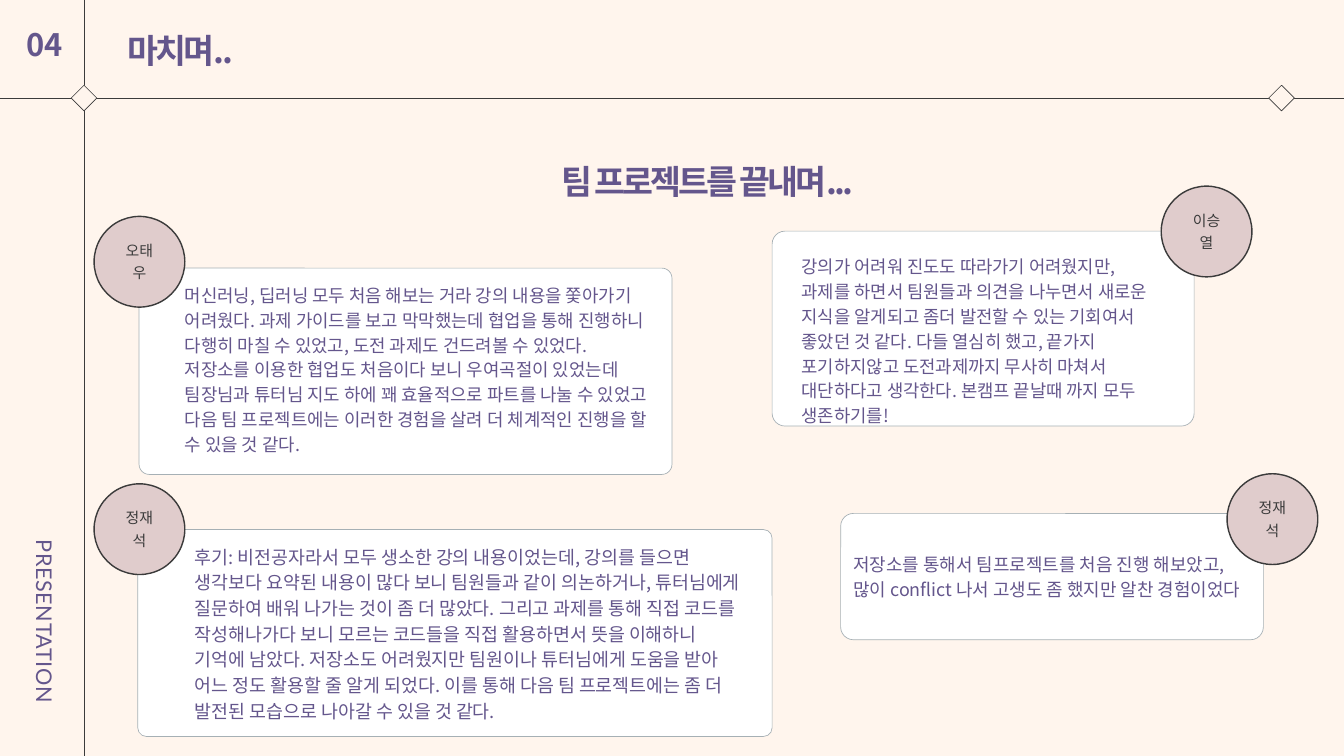
import pptx
import pptx.dml.color
import pptx.enum.shapes
import pptx.enum.text
import pptx.oxml.ns
import pptx.util
from lxml import etree

Inches = pptx.util.Inches
Pt = pptx.util.Pt
RGBColor = pptx.dml.color.RGBColor
Shape = pptx.enum.shapes.MSO_SHAPE
Align = pptx.enum.text.PP_ALIGN
Anchor = pptx.enum.text.MSO_ANCHOR
qn = pptx.oxml.ns.qn

CREAM = RGBColor(0xFF, 0xF5, 0xED)
WHITE = RGBColor(0xFF, 0xFF, 0xFF)
PURPLE = RGBColor(0x64, 0x56, 0x8C)
ROSE = RGBColor(0xE0, 0xCC, 0xCC)
CHARCOAL = RGBColor(0x3B, 0x3B, 0x3B)
GRAY = RGBColor(0xA6, 0xB0, 0xB5)

KOREAN_FONT = "Noto Sans CJK KR"
WIDTH, HEIGHT = 20, 11.25
RULE_X, RULE_Y = 1.25, 1.46
BADGE_SIZE = 1.35
DIAMOND_SIZE = 0.27

# card box, corner radius, text box, font size, line spacing, paragraphs
CARDS = [
    ((2.07, 3.99, 7.93, 3.07), 0.15, (2.75, 4.18, 6.96, 2.57), 19.1, 26.7, [
        "머신러닝, 딥러닝 모두 처음 해보는 거라 강의 내용을 쫓아가기 어려웠다. "
        "과제 가이드를 보고 막막했는데 협업을 통해 진행하니 다행히 마칠 수 있었고, "
        "도전 과제도 건드려볼 수 있었다.",
        "저장소를 이용한 협업도 처음이다 보니 우여곡절이 있었는데 팀장님과 튜터님 "
        "지도 하에 꽤 효율적으로 파트를 나눌 수 있었고 다음 팀 프로젝트에는 이러한 "
        "경험을 살려 더 체계적인 진행을 할 수 있을 것 같다."]),
    ((2.05, 7.88, 9.44, 3.08), 0.13, (2.9, 8.07, 8.18, 2.6), 19.7, 27.5, [
        "후기: 비전공자라서 모두 생소한 강의 내용이었는데, 강의를 들으면 생각보다 "
        "요약된 내용이 많다 보니 팀원들과 같이 의논하거나, 튜터님에게 질문하여 배워 "
        "나가는 것이 좀 더 많았다. 그리고 과제를 통해 직접 코드를 작성해나가다 보니 "
        "모르는 코드들을 직접 활용하면서 뜻을 이해하니 기억에 남았다. 저장소도 "
        "어려웠지만 팀원이나 튜터님에게 도움을 받아 어느 정도 활용할 줄 알게 되었다. "
        "이를 통해 다음 팀 프로젝트에는 좀 더 발전된 모습으로 나아갈 수 있을 것 같다."]),
    ((11.49, 3.44, 6.28, 2.9), 0.19, (11.93, 3.76, 5.22, 2.17), 19, 26.6, [
        "강의가 어려워 진도도 따라가기 어려웠지만,",
        "과제를 하면서 팀원들과 의견을 나누면서 새로운 지식을 알게되고 좀더 발전할 "
        "수 있는 기회여서 좋았던 것 같다. 다들 열심히 했고, 끝가지 포기하지않고 "
        "도전과제까지 무사히 마쳐서 대단하다고 생각한다. 본캠프 끝날때 까지 모두 "
        "생존하기를!"]),
    ((12.51, 7.64, 6.29, 1.88), 0.19, (12.7, 8.18, 5.92, 0.71), 19.2, 26.9, [
        "저장소를 통해서 팀프로젝트를 처음 진행 해보았고, 많이 conflict 나서 고생도 "
        "좀 했지만 알찬 경험이었다"]),
]

# name, left, top
BADGES = [
    ("오태우", 1.4, 3.22),
    ("정재석", 1.4, 7.2),
    ("정재석", 18.26, 7.05),
    ("이승열", 17.28, 2.77),
]


class SlideBuilder:
    def __init__(self, presentation):
        layout = presentation.slide_layouts.get_by_name("Title Only")
        self.slide = presentation.slides.add_slide(layout)
        self.slide.background.fill.solid()
        self.slide.background.fill.fore_color.rgb = CREAM

    def fill_text(self, shape, paragraphs, size, spacing, color=PURPLE, bold=False,
                  align=Align.LEFT, anchor=Anchor.TOP, tracking=0, font=KOREAN_FONT,
                  margins=(0, 0, 0, 0)):
        """Fill a shape with styled text; margins are left, top, right, bottom."""
        frame = shape.text_frame
        frame.text = "\n".join(paragraphs)
        frame.word_wrap = True
        frame.auto_size = pptx.enum.text.MSO_AUTO_SIZE.NONE
        frame.vertical_anchor = anchor
        (frame.margin_left, frame.margin_top,
         frame.margin_right, frame.margin_bottom) = map(Inches, margins)
        for paragraph in frame.paragraphs:
            paragraph.alignment = align
            paragraph.line_spacing = Pt(spacing)
            for run in paragraph.runs:
                run.font.size = Pt(size)
                run.font.bold = bold
                run.font.color.rgb = color
                run.font.name = font
                properties = run._r.get_or_add_rPr()
                etree.SubElement(properties, qn("a:ea")).set("typeface", font)
                if tracking:
                    properties.set("spc", str(round(tracking * 100)))

    def title(self, text, box):
        shape = self.slide.shapes.title
        shape.left, shape.top, shape.width, shape.height = map(Inches, box)
        self.fill_text(shape, [text], 36, 50.4, bold=True, tracking=-3.1)

    def text(self, paragraphs, box, size, spacing, rotation=0, **style):
        shape = self.slide.shapes.add_textbox(*map(Inches, box))
        shape.rotation = rotation
        self.fill_text(shape, paragraphs, size, spacing, **style)

    def shape(self, kind, box, fill, line, line_width=0.75):
        shape = self.slide.shapes.add_shape(kind, *map(Inches, box))
        shape.shadow.inherit = False
        shape.fill.solid()
        shape.fill.fore_color.rgb = fill
        shape.line.color.rgb = line
        shape.line.width = Pt(line_width)
        return shape

    def card(self, box, radius):
        shape = self.shape(Shape.ROUNDED_RECTANGLE, box, WHITE, GRAY)
        shape.adjustments[0] = radius / min(box[2:])

    def badge(self, name, left, top):
        box = (left, top, BADGE_SIZE, BADGE_SIZE)
        shape = self.shape(Shape.OVAL, box, ROSE, CHARCOAL, 1.5)
        self.fill_text(shape, [name], 16, 24, color=CHARCOAL, align=Align.CENTER,
                       anchor=Anchor.MIDDLE, margins=(0.2, 0, 0.2, 0.07))

    def rule(self, x1, y1, x2, y2):
        line = self.slide.shapes.add_connector(
            pptx.enum.shapes.MSO_CONNECTOR.STRAIGHT, *map(Inches, (x1, y1, x2, y2)))
        line.line.color.rgb = CHARCOAL
        line.line.width = Pt(0.75)
        etree.SubElement(line._element.spPr, qn("a:effectLst"))

    def diamond(self, center_x, center_y):
        half = DIAMOND_SIZE / 2
        box = (center_x - half, center_y - half, DIAMOND_SIZE, DIAMOND_SIZE)
        self.shape(Shape.RECTANGLE, box, CREAM, CHARCOAL).rotation = 45


def main():
    presentation = pptx.Presentation()
    presentation.slide_width = Inches(WIDTH)
    presentation.slide_height = Inches(HEIGHT)
    builder = SlideBuilder(presentation)

    builder.title("마치며..", (1.89, 0.34, 3.27, 0.67))
    builder.text(["04"], (0.39, 0.56, 0.91, 0.42), 33.1, 27.1, bold=True)
    builder.text(["PRESENTATION"], (-0.9, 9.38, 2.98, 0.29), 23.2, 19,
                 rotation=90, font="Lato", tracking=0.6)
    builder.rule(0, RULE_Y, WIDTH, RULE_Y)
    builder.rule(RULE_X, 0, RULE_X, HEIGHT)
    for center_x in (RULE_X, 19.07):
        builder.diamond(center_x, RULE_Y)

    builder.text(["팀 프로젝트를 끝내며..."], (4.69, 2.29, 11.68, 0.67), 36, 50.4,
                 bold=True, align=Align.CENTER, tracking=-3.1)
    for card_box, radius, text_box, size, spacing, paragraphs in CARDS:
        builder.card(card_box, radius)
        builder.text(paragraphs, text_box, size, spacing)
    for name, left, top in BADGES:
        builder.badge(name, left, top)

    presentation.save("out.pptx")


if __name__ == "__main__":
    main()
